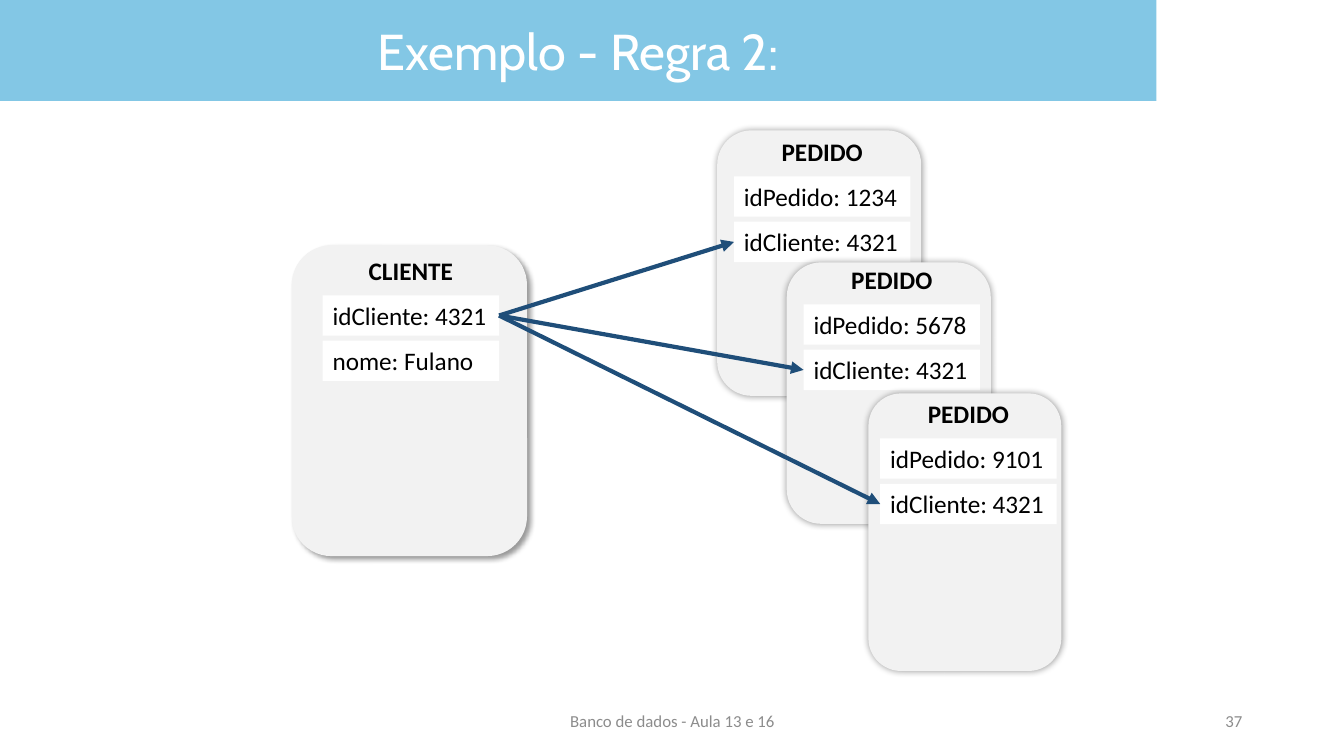
from lxml.etree import SubElement
from pptx import Presentation
from pptx.dml.color import RGBColor
from pptx.enum.shapes import MSO_CONNECTOR, MSO_SHAPE
from pptx.enum.text import MSO_ANCHOR, MSO_AUTO_SIZE, PP_ALIGN
from pptx.oxml.ns import qn
from pptx.util import Inches, Pt

COLORS = {
    "banner": "83C7E5", "card": "F2F2F2", "row": "FFFFFF", "title": "FFFFFF",
    "text": "000000", "footer": "8C8C8C", "arrow": "1F4E79", "shadow": "000000",
}
FORMATS = {
    "title": {"name": "Cabin", "size": Pt(36), "bold": False},
    "heading": {"name": "Calibri", "size": Pt(18), "bold": True},
    "row": {"name": "Calibri", "size": Pt(18), "bold": False},
    "footer": {"name": "Calibri", "size": Pt(12), "bold": False},
}
ROW_WIDTH, ROW_HEIGHT, ROW_STEP = 1.75, 0.4, 0.45

# Card box, left and top of its stack, heading, rows, shadow (blur, distance, angle)
CLIENT = ((2.9, 2.44, 2.32, 3.07), (3.2, 2.48), "CLIENTE",
          ("idCliente: 4321", "nome: Fulano"), (4, 3, 45))
ORDERS = [
    (box, origin, "PEDIDO", (f"idPedido: {number}", "idCliente: 4321"), (5, 0, 0))
    for box, origin, number in (
        ((7.12, 1.3, 2.01, 2.62), (7.28, 1.3), 1234),
        ((7.81, 2.61, 2.01, 2.58), (7.97, 2.57), 5678),
        ((8.62, 3.91, 1.9, 2.74), (8.73, 3.9), 9101),
    )
]


def color(key):
    return RGBColor.from_string(COLORS[key])


def inches(box):
    return [Inches(value) for value in box]


def write(shape, text, style, color_key, align, anchor=MSO_ANCHOR.TOP, wrap=True):
    frame = shape.text_frame
    frame.auto_size = MSO_AUTO_SIZE.NONE
    frame.word_wrap = wrap
    frame.vertical_anchor = anchor
    para = frame.paragraphs[0]
    para.alignment = align
    span = para.add_run()
    span.text = text
    for name, value in FORMATS[style].items():
        setattr(span.font, name, value)
    span.font.color.rgb = color(color_key)


def add_shadow(shape, blur, distance, angle):
    effects = SubElement(shape._element.spPr, qn("a:effectLst"))
    outer = SubElement(effects, qn("a:outerShdw"), blurRad=str(Pt(blur)),
                       dist=str(Pt(distance)), dir=str(angle * 60000),
                       algn="ctr", rotWithShape="0")
    tint = SubElement(outer, qn("a:srgbClr"), val=COLORS["shadow"])
    SubElement(tint, qn("a:alpha"), val="40000")


def add_title(page, box, text):
    title = page.shapes.title
    title.left, title.top, title.width, title.height = inches(box)
    title.fill.solid()
    title.fill.fore_color.rgb = color("banner")
    write(title, text, "title", "title", PP_ALIGN.CENTER, MSO_ANCHOR.MIDDLE)


def add_footer(page, box, text, align):
    footer = page.shapes.add_textbox(*inches(box))
    write(footer, text, "footer", "footer", align, MSO_ANCHOR.MIDDLE)


def add_record(page, box, origin, heading, rows, shadow):
    """Draw a card with its heading and rows; return the row shapes."""
    card = page.shapes.add_shape(MSO_SHAPE.ROUNDED_RECTANGLE, *inches(box))
    card.fill.solid()
    card.fill.fore_color.rgb = color("card")
    card.line.color.rgb = color("card")
    card.line.width = Pt(1)
    add_shadow(card, *shadow)

    # Heading centred over the rows
    left, top = origin
    width = 1.02
    label = page.shapes.add_textbox(
        *inches((left + (ROW_WIDTH - width) / 2, top, width, ROW_HEIGHT)))
    write(label, heading, "heading", "text", PP_ALIGN.CENTER, wrap=False)

    # Rows at an equal step below the heading
    fields = []
    for index, text in enumerate(rows, 1):
        field = page.shapes.add_shape(MSO_SHAPE.RECTANGLE, *inches(
            (left, top + index * ROW_STEP, ROW_WIDTH, ROW_HEIGHT)))
        field.shadow.inherit = False
        field.fill.solid()
        field.fill.fore_color.rgb = color("row")
        field.line.fill.background()
        write(field, text, "row", "text", PP_ALIGN.LEFT)
        fields.append(field)
    return fields


def add_arrow(page, source, target):
    arrow = page.shapes.add_connector(MSO_CONNECTOR.STRAIGHT, 0, 0, 0, 0)
    arrow.begin_connect(source, 3)
    arrow.end_connect(target, 1)
    arrow.line.color.rgb = color("arrow")
    arrow.line.width = Pt(3)
    SubElement(arrow.line._get_or_add_ln(), qn("a:tailEnd"), type="triangle")
    SubElement(arrow._element.spPr, qn("a:effectLst"))


def main():
    deck = Presentation()
    deck.slide_width, deck.slide_height = Inches(13.33), Inches(7.5)
    page = deck.slides.add_slide(deck.slide_layouts[5])

    # Title and footer
    add_title(page, (0, 0, 11.47, 1), "Exemplo - Regra 2:")
    add_footer(page, (4.42, 6.95, 4.5, 0.4), "Banco de dados - Aula 13 e 16",
               PP_ALIGN.CENTER)
    add_footer(page, (9.42, 6.95, 3, 0.4), "37", PP_ALIGN.RIGHT)

    # Client and its orders, then the references between them
    client_key = add_record(page, *CLIENT)[0]
    order_keys = [add_record(page, *order)[1] for order in ORDERS]
    for order_key in order_keys:
        add_arrow(page, client_key, order_key)

    deck.save("out.pptx")


if __name__ == "__main__":
    main()
